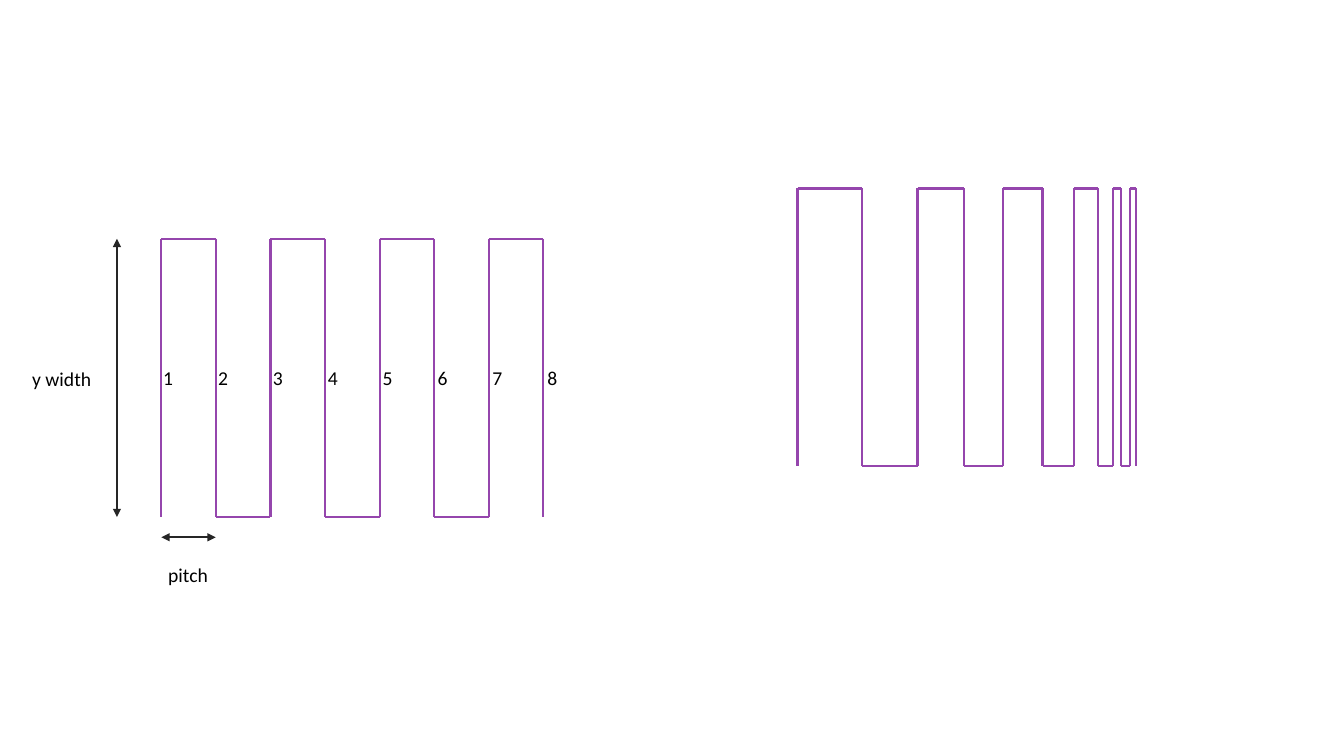
"""Build a slide comparing an even-pitch meander with one of shrinking pitch."""
from lxml.etree import SubElement
from pptx import Presentation
from pptx.dml.color import RGBColor
from pptx.enum.shapes import MSO_CONNECTOR
from pptx.enum.text import MSO_AUTO_SIZE
from pptx.oxml.ns import qn
from pptx.util import Inches, Pt

PURPLE = RGBColor(0x95, 0x46, 0xAD)
CHARCOAL = RGBColor(0x26, 0x26, 0x26)
BLACK = RGBColor(0, 0, 0)

TRACK_NUMBERS = ["1", "2", "3", "4", "5", "6", "7", "8"]
FIRST_TRACK, LAST_TRACK = 1.6, 5.39
FIRST_NUMBER, LAST_NUMBER = 1.52, 5.33
EVEN_TOP, EVEN_BOTTOM = 2.37, 5.13
SHRINKING_TRACKS = [7.91, 8.55, 9.1, 9.56, 9.95, 10.34, 10.65,
                    10.89, 11.04, 11.12, 11.21, 11.27]
SHRINKING_TOP, SHRINKING_BOTTOM = 1.87, 4.62
DIMENSIONS = [
    ("y width", (0.22, 3.59, 0.79), (1.16, EVEN_TOP, 1.16, EVEN_BOTTOM)),
    ("pitch", (1.57, 5.54, 0.6), (1.6, 5.33, 2.14, 5.33)),
]


def spread(first, last, count):
    return [first + i * (last - first) / (count - 1) for i in range(count)]


def add_line(shapes, ends, color):
    line = shapes.add_connector(MSO_CONNECTOR.STRAIGHT, *map(Inches, ends))
    line.line.color.rgb = color
    line.line.width = Pt(1.5)
    SubElement(line._element.spPr, qn("a:effectLst"))
    return line


def add_meander(slide, tracks, top, bottom):
    meander = slide.shapes.add_group_shape().shapes
    for x in tracks:
        add_line(meander, (x, top, x, bottom), PURPLE)
    for i, (left, right) in enumerate(zip(tracks, tracks[1:])):
        y = bottom if i % 2 else top
        add_line(meander, (left, y, right, y), PURPLE)


def add_label(slide, text, left, top, width):
    label = slide.shapes.add_textbox(*map(Inches, (left, top, width, 0.34)))
    frame = label.text_frame
    frame.text = text
    frame.word_wrap = False
    frame.auto_size = MSO_AUTO_SIZE.SHAPE_TO_FIT_TEXT
    font = frame.paragraphs[0].runs[0].font
    font.name, font.size = "Calibri", Pt(14)
    font.color.rgb = BLACK


def add_dimension(slide, ends):
    arrow = add_line(slide.shapes, ends, CHARCOAL)
    outline = arrow.line._get_or_add_ln()
    for end in ("a:headEnd", "a:tailEnd"):
        SubElement(outline, qn(end), type="triangle")


def main():
    prs = Presentation()
    prs.slide_width, prs.slide_height = Inches(13.33), Inches(7.5)
    slide = prs.slides.add_slide(prs.slide_layouts[6])

    count = len(TRACK_NUMBERS)
    add_meander(slide, SHRINKING_TRACKS, SHRINKING_TOP, SHRINKING_BOTTOM)
    add_meander(slide, spread(FIRST_TRACK, LAST_TRACK, count), EVEN_TOP, EVEN_BOTTOM)
    for text, place, ends in DIMENSIONS:
        add_dimension(slide, ends)
        add_label(slide, text, *place)
    for number, left in zip(TRACK_NUMBERS, spread(FIRST_NUMBER, LAST_NUMBER, count)):
        add_label(slide, number, left, 3.58, 0.3)

    prs.save("out.pptx")


if __name__ == "__main__":
    main()
